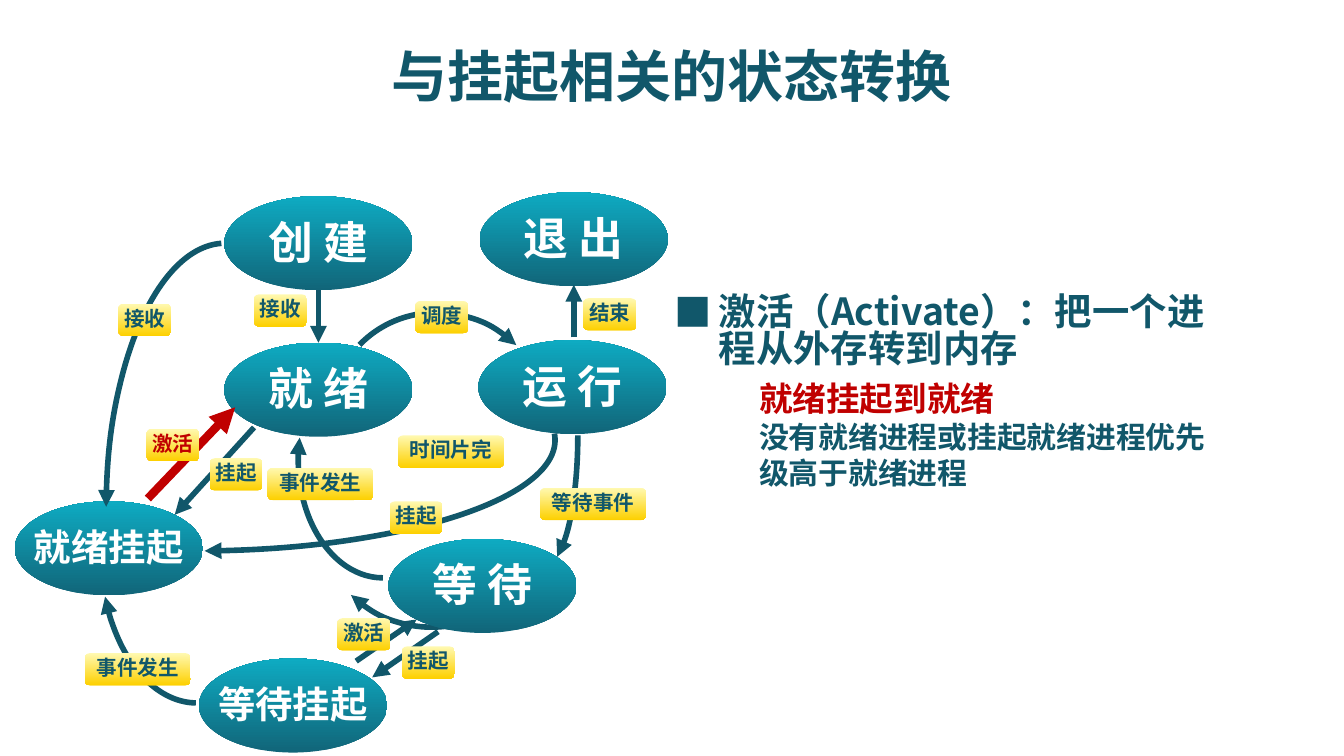
from lxml.etree import SubElement
from pptx import Presentation
from pptx.dml.color import RGBColor
from pptx.enum.shapes import MSO_CONNECTOR, MSO_SHAPE
from pptx.enum.text import MSO_ANCHOR, PP_ALIGN
from pptx.oxml.ns import qn
from pptx.util import Pt

TEAL = RGBColor(0x11, 0x57, 0x6A)
RED = RGBColor(0xC0, 0x00, 0x00)
WHITE = RGBColor(0xFF, 0xFF, 0xFF)
DEEP = RGBColor(0x11, 0x65, 0x79)
AQUA = RGBColor(0x0E, 0xAB, 0xC2)
CREAM = RGBColor(0xFF, 0xF9, 0xB1)
GOLD = RGBColor(0xFD, 0xD0, 0x00)
FACE = "Noto Sans CJK SC"

TITLE = "与挂起相关的状态转换"
POINT = "激活（Activate）：把一个进程从外存转到内存"
CASE = "就绪挂起到就绪"
WHY = "没有就绪进程或挂起就绪进程优先级高于就绪进程"

STATES = [
    ("创 建", 120.2, 105.1, 24),
    ("就 绪", 120.2, 183.6, 24),
    ("运 行", 256.3, 182.2, 24),
    ("等 待", 208.1, 288.7, 24),
    ("退 出", 257, 103, 24),
    ("就绪挂起", 7.9, 268.6, 20),
    ("等待挂起", 106.6, 352.8, 20),
]

# left, top, width, height, turn, start angle, end angle, arrow
UNDER = [
    (273.6, 162.7, 36, 141.1, 0, 0.13, 83.9, "tailEnd"),
    (169.2, 213.1, 120.2, 123.8, 314, 87.6, 179.3, "tailEnd"),
]
OVER = [
    (177.8, 166.3, 116.6, 121, 314, 270, 0, "tailEnd"),
    (-90.7, 176.4, 388.1, 118.8, 0, 358.96, 83.95, "tailEnd"),
    (159.8, 182.9, 90.7, 126.7, 0, 90, 194.8, "tailEnd"),
    (54, 214.6, 103, 162, 0, 90.4, 153.9, "tailEnd"),
    (56.9, 130.3, 127.4, 284.4, 0, 180.9, 269.2, "headEnd"),
]

LINES = [
    (170.6, 155.5, 170.6, 183.6, TEAL, 3),
    (307.4, 180.7, 307.4, 152.6, TEAL, 3),
    (234.7, 338.4, 199.4, 362.9, TEAL, 3),
    (190.8, 354.2, 223.2, 331.9, TEAL, 3),
    (79.2, 267.1, 126, 218.2, RED, 4.5),
    (136.1, 229, 93.6, 275.8, TEAL, 3),
]

LABELS = [
    ("挂起", 208.8, 268.6, TEAL),
    ("接收", 63.4, 162.7, TEAL),
    ("事件发生", 45.4, 349.9, TEAL),
    ("接收", 136.1, 157.7, TEAL),
    ("激活", 78.5, 229.7, RED),
    ("挂起", 112.3, 245.5, TEAL),
    ("事件发生", 143.3, 250.6, TEAL),
    ("激活", 180.7, 331.2, TEAL),
    ("挂起", 215.3, 346.3, TEAL),
    ("等待事件", 289.4, 261.4, TEAL),
    ("时间片完", 213.1, 233.3, TEAL),
    ("调度", 222.5, 161.3, TEAL),
    ("结束", 312.5, 159.8, TEAL),
]

deck = Presentation()
deck.slide_width, deck.slide_height = Pt(720), Pt(405)
slide = deck.slides.add_slide(deck.slide_layouts[6])
shapes = slide.shapes


def write(frame, text, size, color, align=None):
    para = frame.paragraphs[0]
    para.text = text
    para.alignment = align
    font = para.font
    font.size, font.bold, font.name = Pt(size), True, FACE
    font.color.rgb = color
    props = para._p.find(".//" + qn("a:defRPr"))
    SubElement(props, qn("a:ea")).set("typeface", FACE)
    return para


def add_text(text, box, size, color, align=None):
    frame = shapes.add_textbox(*map(Pt, box)).text_frame
    frame.word_wrap = True
    para = write(frame, text, size, color, align)
    para.space_before = Pt(size * 0.2)
    return frame, para


def add_node(kind, text, box, size, color, first, last, angle):
    node = shapes.add_shape(kind, *map(Pt, box))
    node.shadow.inherit = False
    node.line.fill.background()
    node.fill.gradient()
    node.fill.gradient_angle = angle
    for stop, tone in zip(node.fill.gradient_stops, (first, last)):
        stop.color.rgb = tone
    frame = node.text_frame
    frame.word_wrap = False
    frame.vertical_anchor = MSO_ANCHOR.MIDDLE
    frame.margin_left = frame.margin_right = 0
    frame.margin_top, frame.margin_bottom = 0, Pt(2)
    write(frame, text, size, color, PP_ALIGN.CENTER)


def draw(line, color, width, end):
    line.color.rgb = color
    line.width = Pt(width)
    SubElement(line._get_or_add_ln(), qn("a:" + end)).set("type", "triangle")


def add_arcs(arcs):
    for left, top, width, height, turn, start, stop, end in arcs:
        arc = shapes.add_shape(MSO_SHAPE.ARC, Pt(left), Pt(top), Pt(width), Pt(height))
        arc.shadow.inherit = False
        arc.fill.background()
        arc.rotation = turn
        arc.adjustments[0] = start * 0.6
        arc.adjustments[1] = stop * 0.6
        draw(arc.line, TEAL, 3, end)


frame, para = add_text(TITLE, (54, 7.2, 612, 66.2), 30, TEAL, PP_ALIGN.CENTER)
frame.vertical_anchor = MSO_ANCHOR.MIDDLE
add_text(WHY, (399.6, 221, 259.2, 67.7), 16, TEAL)

add_arcs(UNDER)
for text, left, top, size in STATES:
    add_node(MSO_SHAPE.OVAL, text, (left, top, 100.8, 50.4), size, WHITE, DEEP, AQUA, 90)
add_arcs(OVER)

for x1, y1, x2, y2, color, width in LINES:
    link = shapes.add_connector(MSO_CONNECTOR.STRAIGHT, Pt(x1), Pt(y1), Pt(x2), Pt(y2))
    draw(link.line, color, width, "tailEnd")
    SubElement(link._element.spPr, qn("a:effectLst"))

for text, left, top, color in LABELS:
    box = (left, top, 14.2 * len(text), 17.3)
    add_node(MSO_SHAPE.ROUNDED_RECTANGLE, text, box, 11, color, CREAM, GOLD, 270)

frame, para = add_text(POINT, (354.2, 154.8, 311.8, 61.9), 20, TEAL)
para.line_spacing = Pt(20)
props = para._p.get_or_add_pPr()
props.set("marL", str(Pt(23.8)))
props.set("indent", str(-Pt(23.8)))
mark = SubElement(props, qn("a:buFont"))
mark.set("typeface", "Noto Sans CJK JP")
SubElement(props, qn("a:buChar")).set("char", "■")
props.append(props.find(qn("a:defRPr")))

frame, para = add_text(CASE, (399.6, 194.4, 416.2, 67.7), 18, RED)
para.line_spacing = 1.2

deck.save("out.pptx")
